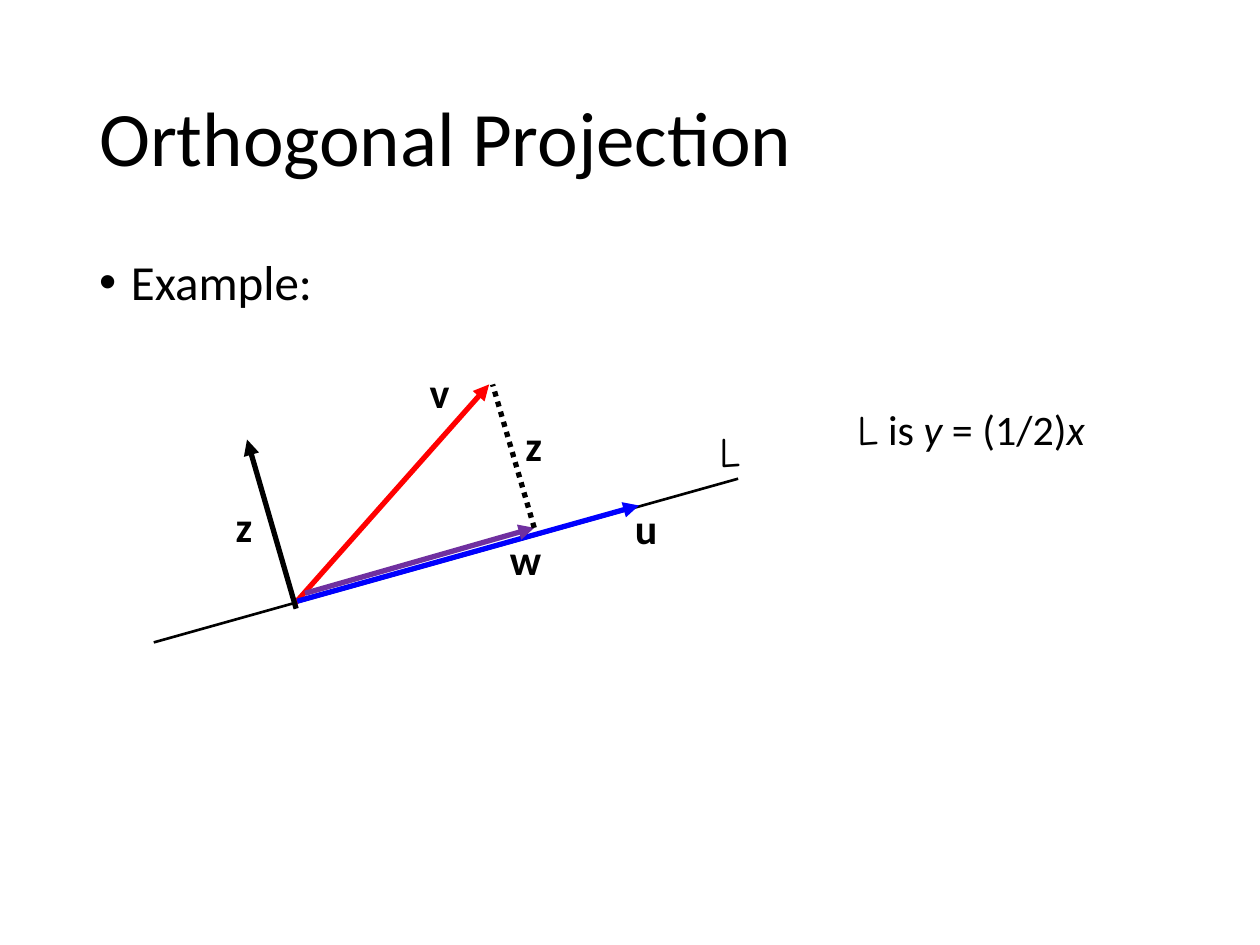
from lxml import etree
from pptx import Presentation, util as u
from pptx.dml.color import RGBColor
from pptx.enum import dml, shapes, text
from pptx.oxml.ns import qn

BLACK = RGBColor(0, 0, 0)
RED = RGBColor(255, 0, 0)
BLUE = RGBColor(0, 0, 255)
PURPLE = RGBColor(112, 48, 160)
BODY_FONT = "Calibri"
LINE_FONT = "Comic Neue"
LABEL_HEIGHT = 1.27

ORIGIN_LINES = [
    ((3.1, 12.95), (14.88, 9.65), BLACK, 1.5, False),
    ((5.94, 12.17), (9.86, 7.75), RED, 3, True),
    ((5.99, 12.12), (12.88, 10.19), BLUE, 3, True),
    ((6.15, 11.96), (10.77, 10.64), PURPLE, 3, True),
    ((5.97, 12.27), (4.98, 8.86), BLACK, 3, True),
]
VECTOR_LABELS = [
    ("u", 12.55, 10.01, 0.97),
    ("v", 8.41, 7.26, 0.91),
    ("w", 10.03, 10.64, 1.14),
    ("z", 4.5, 9.96, 0.86),
    ("z", 10.34, 8.33, 0.86),
]


def add_text(parent, box, runs, size, wrap=True, anchor=text.MSO_ANCHOR.TOP):
    sp = parent.add_textbox(*map(u.Cm, box))
    tf = sp.text_frame
    for name, value in {"word_wrap": wrap, "vertical_anchor": anchor}.items():
        setattr(tf, name, value)
    p = tf.paragraphs[0]
    for content, fmt in runs:
        r = p.add_run()
        r.text = content
        values = {"name": BODY_FONT, "size": u.Pt(size), **fmt}
        for name, value in values.items():
            setattr(r.font, name, value)
        r.font.color.rgb = BLACK
    return p


def add_bullet(p):
    pr = p._p.get_or_add_pPr()
    pr.set("marL", str(u.Cm(0.64)))
    pr.set("indent", str(-u.Cm(0.64)))
    etree.SubElement(pr, qn("a:buFont")).set("typeface", "Arial")
    etree.SubElement(pr, qn("a:buChar")).set("char", "•")


def add_line(parent, start, end, color, width, arrow=False, dash=None):
    ends = map(u.Cm, (*start, *end))
    sp = parent.add_connector(shapes.MSO_CONNECTOR.STRAIGHT, *ends)
    sp.line.color.rgb = color
    sp.line.width = u.Pt(width)
    if dash:
        sp.line.dash_style = dash
    if arrow:
        ln = sp.line._get_or_add_ln()
        etree.SubElement(ln, qn("a:tailEnd")).set("type", "triangle")
    etree.SubElement(sp._element.spPr, qn("a:effectLst"))


def add_diagram(s):
    group = s.shapes.add_group_shape().shapes
    for line in ORIGIN_LINES:
        add_line(group, *line)
    add_line(group, (10.77, 10.64), (9.93, 7.75), BLACK, 3,
             dash=dml.MSO_LINE.ROUND_DOT)
    add_text(group, (14.25, 8.46, 0.94, LABEL_HEIGHT),
             [("L", {"name": LINE_FONT})], 24)
    for label, x, y, width in VECTOR_LABELS:
        add_text(group, (x, y, width, LABEL_HEIGHT),
                 [(label, {"bold": True})], 24, wrap=False)


def main():
    prs = Presentation()
    prs.slide_width, prs.slide_height = u.Cm(25.4), u.Cm(19.05)
    s = prs.slides.add_slide(prs.slide_layouts[6])

    title = add_text(s.shapes, (1.75, 1.02, 21.9, 3.68),
                     [("Orthogonal Projection", {})], 44,
                     anchor=text.MSO_ANCHOR.MIDDLE)
    title.line_spacing = 0.9
    body = add_text(s.shapes, (1.75, 5.08, 21.9, 12.09),
                    [("Example:", {})], 28)
    body.line_spacing = 0.9
    add_bullet(body)

    add_text(s.shapes, (17.04, 8, 5.44, LABEL_HEIGHT),
             [("L", {"name": LINE_FONT}), (" is ", {}), ("y", {"italic": True}),
              (" = (1/2)", {}), ("x", {"italic": True})], 24, wrap=False)
    add_diagram(s)
    prs.save("out.pptx")


if __name__ == "__main__":
    main()
